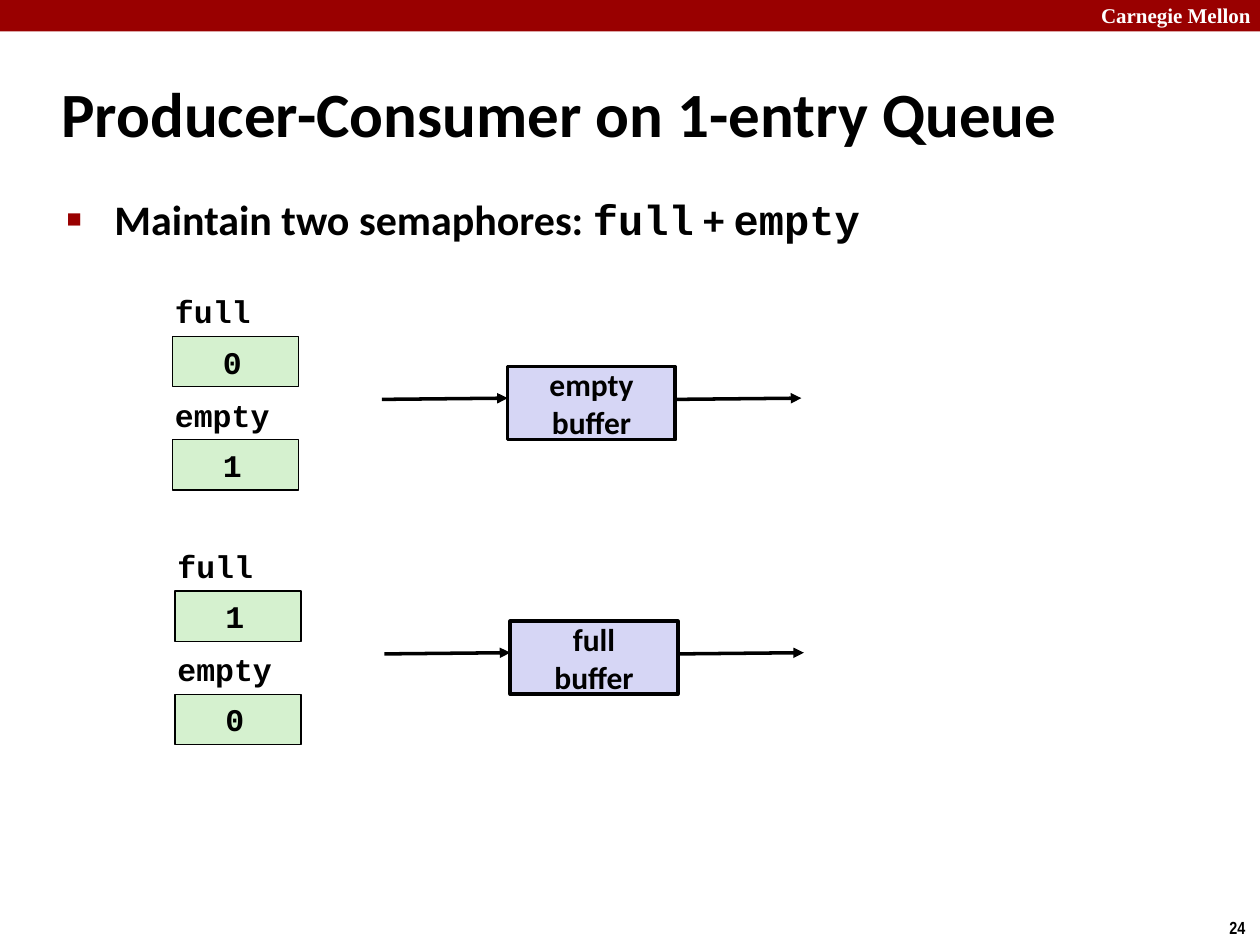
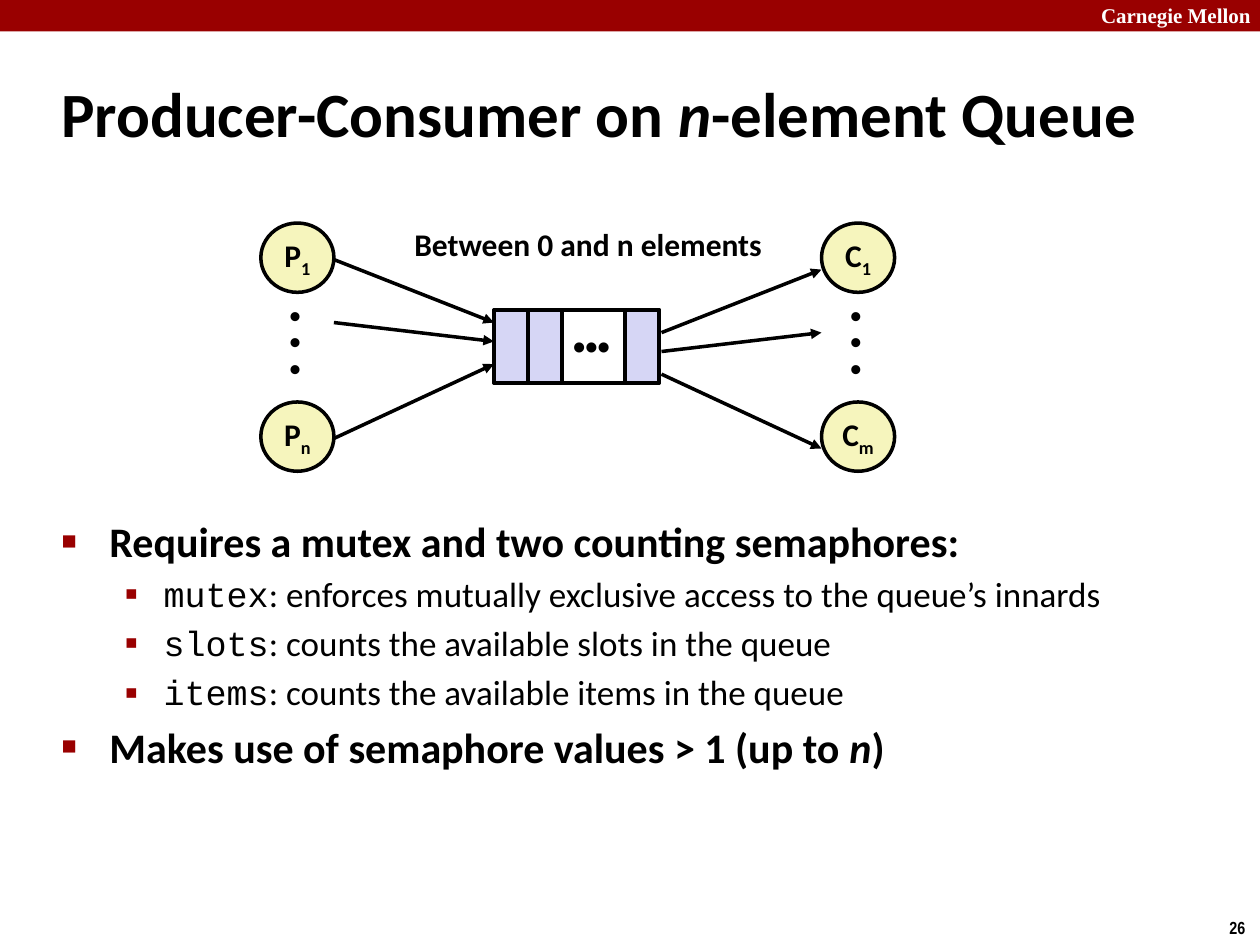
"""Build two slides on producer-consumer queues guarded by semaphores."""
from dataclasses import dataclass
from typing import Any, Sequence

import lxml.etree
import pptx
import pptx.dml.color
import pptx.enum.shapes
import pptx.enum.text
import pptx.oxml.ns
import pptx.util

Inches = pptx.util.Inches
Pt = pptx.util.Pt
qn = pptx.oxml.ns.qn
Shapes = pptx.enum.shapes.MSO_SHAPE
Anchor = pptx.enum.text.MSO_ANCHOR
Align = pptx.enum.text.PP_ALIGN

RED, BLACK, WHITE = "990000", "000000", "FFFFFF"
LAVENDER, GREEN, YELLOW = "D6D6F5", "D5F1CF", "F6F5BD"
BODY_FONT, CODE_FONT, DOT_FONT = "Calibri", "Courier New", "Arial"


@dataclass(frozen=True)
class Run:
    """A stretch of text with its own look."""
    text: str
    font: str = BODY_FONT
    italic: bool = False
    subscript: bool = False


@dataclass(frozen=True)
class Box:
    """A rectangle in inches."""
    left: float
    top: float
    width: float
    height: float


@dataclass(frozen=True)
class Level:
    """The look of one level of the bulleted text."""
    bullet: str
    bullet_percent: int
    margin: float
    hanging: float
    size: int
    bold: bool


@dataclass(frozen=True)
class BufferState:
    """One state of the one-entry buffer and its semaphores."""
    left: float
    top: float
    full: str
    empty: str
    name: str


@dataclass(frozen=True)
class Party:
    """A column of producers or consumers."""
    left: float
    letter: str
    last: str


TOPIC = Level("■", 60, 0.38, 0.38, 24, True)
DETAIL = Level("▪", 110, 0.81, 0.31, 20, False)
Line = Sequence[Run]
BulletLine = tuple[Level, Line]

BUFFER_STATES = (
    BufferState(1.37, 2.67, "0", "1", "empty"),
    BufferState(1.39, 4.69, "1", "0", "full"),
)
PRODUCERS = Party(2.07, "P", "n")
CONSUMERS = Party(6.52, "C", "m")
ARROW_HEIGHTS = ((2.06, 2.56), (2.56, 2.71), (3.48, 2.89))
CONSUMER_DROP = 0.08

SEMAPHORE_BULLETS: tuple[BulletLine, ...] = (
    (TOPIC, (Run("Maintain two semaphores: "), Run("full", CODE_FONT),
             Run(" + "), Run("empty", CODE_FONT))),
)
QUEUE_BULLETS: tuple[BulletLine, ...] = (
    (TOPIC, (Run("Requires a mutex and two counting semaphores:"),)),
    (DETAIL, (Run("mutex", CODE_FONT),
              Run(": enforces mutually exclusive access to the queue’s innards"))),
    (DETAIL, (Run("slots", CODE_FONT), Run(": counts the available slots in the queue"))),
    (DETAIL, (Run("items", CODE_FONT), Run(": counts the available items in the queue"))),
    (TOPIC, (Run("Makes use of semaphore values > 1 (up to "),
             Run("n", italic=True), Run(")"))),
)


def rgb(value: str) -> pptx.dml.color.RGBColor:
    """Turn a hex string into a colour."""
    return pptx.dml.color.RGBColor.from_string(value)


def add_runs(paragraph: Any, runs: Line, size: int, bold: bool, color: str) -> None:
    """Append formatted runs to a paragraph."""
    for part in runs:
        run = paragraph.add_run()
        run.text = part.text
        run.font.name = part.font
        run.font.size = Pt(size)
        run.font.bold = bold
        run.font.italic = part.italic
        run.font.color.rgb = rgb(color)
        if part.subscript:
            run.font._element.set("baseline", "-25000")


def write_text(shape: Any, lines: Sequence[Line], *, size: int = 18,
               color: str = BLACK, align: Any = Align.LEFT, anchor: Any = Anchor.TOP,
               wrap: bool = False, inset: float = 0.05, spacing: float = 1.0,
               indent: float = 0) -> None:
    """Fill a shape with bold lines of text."""
    frame = shape.text_frame
    frame.word_wrap = wrap
    frame.vertical_anchor = anchor
    frame.margin_top = frame.margin_bottom = Inches(inset)
    for index, runs in enumerate(lines):
        paragraph = frame.add_paragraph() if index else frame.paragraphs[0]
        paragraph.alignment = align
        paragraph.line_spacing = spacing
        if indent:
            paragraph._element.get_or_add_pPr().set("marL", str(Inches(indent)))
        add_runs(paragraph, runs, size, True, color)


def add_text(slide: Any, box: Box, lines: Sequence[Line], **text_format: Any) -> None:
    """Add a text box."""
    write_text(add_frame(slide, box), lines, **text_format)


def add_frame(slide: Any, box: Box) -> Any:
    """Add an empty text box."""
    return slide.shapes.add_textbox(Inches(box.left), Inches(box.top),
                                    Inches(box.width), Inches(box.height))


def add_block(slide: Any, kind: Any, box: Box, fill: str | None,
              line_width: float = 2) -> Any:
    """Add a preset shape, outlined in black unless the width is zero."""
    shape = slide.shapes.add_shape(kind, Inches(box.left), Inches(box.top),
                                   Inches(box.width), Inches(box.height))
    shape.shadow.inherit = False
    if fill:
        shape.fill.solid()
        shape.fill.fore_color.rgb = rgb(fill)
    else:
        shape.fill.background()
    if line_width:
        shape.line.color.rgb = rgb(BLACK)
        shape.line.width = Pt(line_width)
    else:
        shape.line.fill.background()
    return shape


def add_arrow(slide: Any, left: float, start: float, right: float, end: float) -> None:
    """Add a black arrow pointing to the right end."""
    connector = slide.shapes.add_connector(
        pptx.enum.shapes.MSO_CONNECTOR.STRAIGHT,
        Inches(left), Inches(start), Inches(right), Inches(end))
    connector.line.color.rgb = rgb(BLACK)
    connector.line.width = Pt(2)
    properties = connector._element.spPr
    lxml.etree.SubElement(properties.find(qn("a:ln")), qn("a:tailEnd"), type="triangle")
    lxml.etree.SubElement(properties, qn("a:effectLst"))


def set_bullet(paragraph: Any, level: Level) -> None:
    """Give a paragraph its hanging red bullet."""
    properties = paragraph._element.get_or_add_pPr()
    properties.set("marL", str(Inches(level.margin)))
    properties.set("indent", str(-Inches(level.hanging)))
    color = lxml.etree.SubElement(properties, qn("a:buClr"))
    lxml.etree.SubElement(color, qn("a:srgbClr"), val=RED)
    lxml.etree.SubElement(properties, qn("a:buSzPct"), val=str(level.bullet_percent * 1000))
    lxml.etree.SubElement(properties, qn("a:buFont"), typeface=DOT_FONT)
    lxml.etree.SubElement(properties, qn("a:buChar"), char=level.bullet)


def add_bullets(slide: Any, box: Box, bullets: Sequence[BulletLine]) -> None:
    """Add the bulleted body text."""
    frame = add_frame(slide, box).text_frame
    frame.word_wrap = True
    for index, (level, runs) in enumerate(bullets):
        paragraph = frame.add_paragraph() if index else frame.paragraphs[0]
        set_bullet(paragraph, level)
        if index:
            paragraph.space_before = Pt(level.size * 0.2)
        add_runs(paragraph, runs, level.size, level.bold, BLACK)


def add_slide(presentation: Any, title: Line, number: int) -> Any:
    """Add a slide with the red band, title and page number."""
    slide = presentation.slides.add_slide(presentation.slide_layouts[6])
    add_block(slide, Shapes.RECTANGLE, Box(0, 0, 10, 0.25), RED, 0)
    add_text(slide, Box(8.64, -0.03, 1.43, 0.3),
             [[Run("Carnegie Mellon", "Times New Roman")]],
             size=12, color=WHITE, wrap=True)
    add_text(slide, Box(9.66, 7.23, 0.34, 0.27),
             [[Run(str(number), "Arial Narrow")]], size=10)
    add_text(slide, Box(0.39, 0.48, 9.36, 0.83), [title],
             size=36, anchor=Anchor.MIDDLE, wrap=True)
    return slide


def add_semaphore(slide: Any, left: float, top: float, name: str, value: str) -> None:
    """Draw a semaphore's name above its value."""
    cell = add_block(slide, Shapes.RECTANGLE, Box(left, top, 1, 0.4), GREEN, 0.75)
    write_text(cell, [[Run(value, CODE_FONT)]], wrap=True, indent=0.3)
    add_text(slide, Box(left - 0.08, top - 0.4, 0.96 if name == "empty" else 0.81, 0.4),
             [[Run(name, CODE_FONT)]])


def add_buffer_state(slide: Any, state: BufferState) -> None:
    """Draw the semaphores and the buffer between its arrows."""
    add_semaphore(slide, state.left, state.top, "full", state.full)
    add_semaphore(slide, state.left, state.top + 0.82, "empty", state.empty)
    left, width, middle = state.left + 2.66, 1.33, state.top + 0.5
    buffer = add_block(slide, Shapes.RECTANGLE,
                       Box(left, state.top + 0.24, width, 0.58), LAVENDER)
    write_text(buffer, [[Run(state.name)], [Run("buffer")]],
               align=Align.CENTER, anchor=Anchor.MIDDLE, inset=0)
    for start in (left - 1, left + width):
        add_arrow(slide, start, middle, start + 1, middle - 0.01)


def add_party(slide: Any, party: Party) -> None:
    """Draw the first and last member with dots between them."""
    for top, index in ((1.77, "1"), (3.19, party.last)):
        member = add_block(slide, Shapes.OVAL, Box(party.left, top, 0.58, 0.55), YELLOW)
        write_text(member, [[Run(party.letter), Run(index, subscript=True)]],
                   align=Align.CENTER, anchor=Anchor.MIDDLE, inset=0)
    add_text(slide, Box(party.left + 0.13, 2.38, 0.32, 0.75),
             [[Run("•", DOT_FONT)]] * 3, spacing=0.7)


def add_queue(slide: Any) -> None:
    """Draw the queue with its cells and caption."""
    for left in (3.92, 4.19, 4.96):
        add_block(slide, Shapes.RECTANGLE, Box(left, 2.46, 0.27, 0.58), LAVENDER)
    add_text(slide, Box(4.19, 2.62, 1.01, 0.35), [[Run("•••", DOT_FONT)]],
             size=20, align=Align.CENTER, wrap=True, spacing=0.7)
    add_block(slide, Shapes.RECTANGLE, Box(3.92, 2.46, 1.31, 0.58), None)
    add_text(slide, Box(3.19, 1.74, 3, 0.4), [[Run("Between 0 and n elements")]])


def build_one_entry_slide(presentation: Any) -> None:
    """Build the slide on the one-entry queue."""
    slide = add_slide(presentation, [Run("Producer-Consumer on 1-entry Queue")], 24)
    add_bullets(slide, Box(0.43, 1.49, 8.64, 5.44), SEMAPHORE_BULLETS)
    for state in BUFFER_STATES:
        add_buffer_state(slide, state)


def build_n_element_slide(presentation: Any) -> None:
    """Build the slide on the n-element queue."""
    title = [Run("Producer-Consumer on "), Run("n", italic=True), Run("-element Queue")]
    slide = add_slide(presentation, title, 26)
    add_bullets(slide, Box(0.39, 4.04, 8.98, 1.93), QUEUE_BULLETS)
    for party in (PRODUCERS, CONSUMERS):
        add_party(slide, party)
    for outer, inner in ARROW_HEIGHTS:
        add_arrow(slide, 2.65, outer, 3.92, inner)
        add_arrow(slide, 5.25, inner + CONSUMER_DROP, 6.52, outer + CONSUMER_DROP)
    add_queue(slide)


def main() -> None:
    """Build and save the presentation."""
    presentation = pptx.Presentation()
    presentation.slide_width = Inches(10)
    presentation.slide_height = Inches(7.5)
    build_one_entry_slide(presentation)
    build_n_element_slide(presentation)
    presentation.save("out.pptx")


if __name__ == "__main__":
    main()
